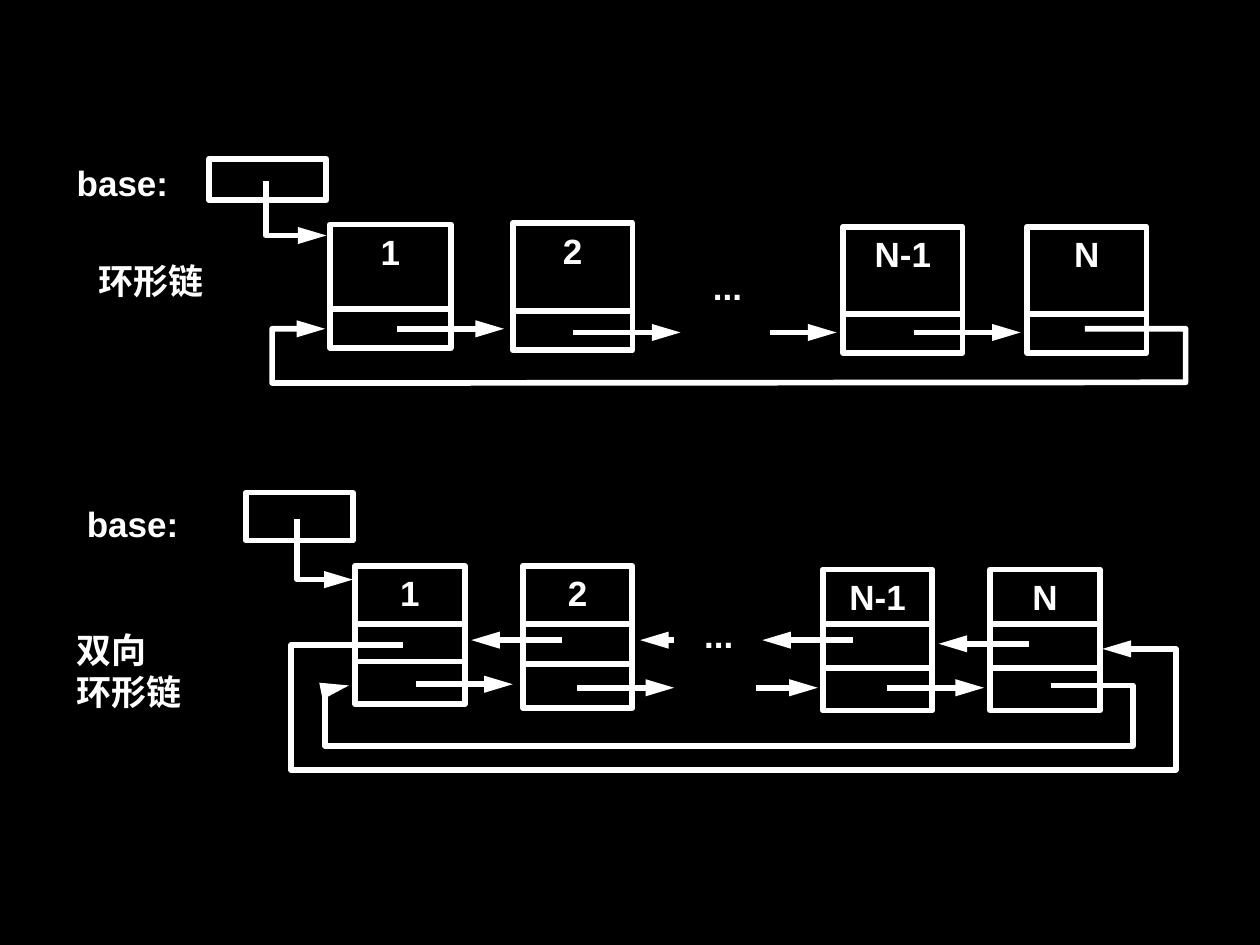
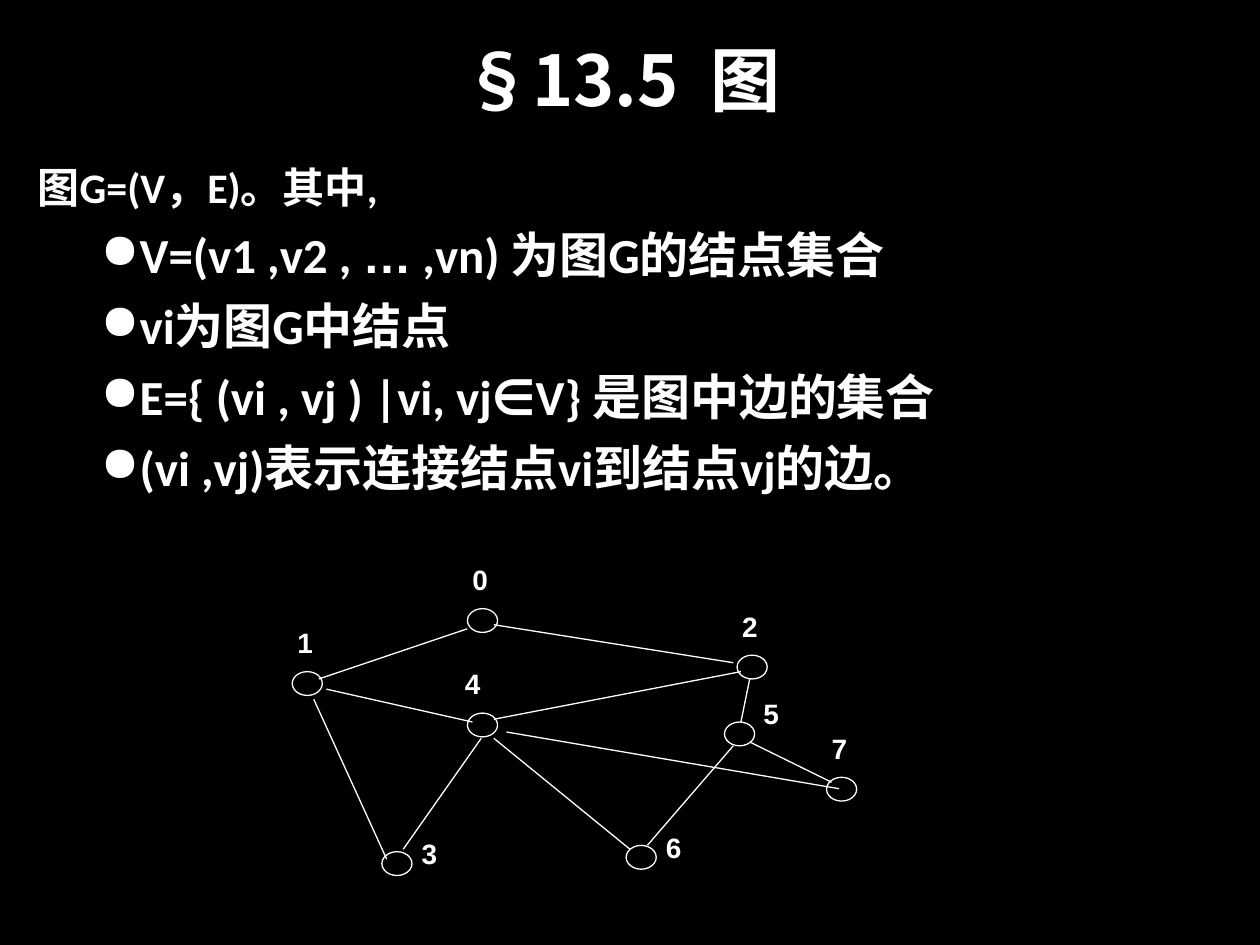
from lxml import etree
from pptx import Presentation
from pptx.dml.color import RGBColor
from pptx.enum import shapes, text
from pptx.oxml import ns
from pptx.util import Pt

# ---- Shared look ----
BLACK = RGBColor(0x00, 0x00, 0x00)
WHITE = RGBColor(0xFF, 0xFF, 0xFF)
LATIN, BODY, HEADING = "Arial", "Calibri", "Noto Sans CJK SC"
THICK, THIN = 3.25, 0.75
LABEL_INSET = (7.2, 3.6)

# ---- Linked lists: all lengths in points ----
NODE_NAMES = ["1", "2", "N-1", "N"]
CIRCULAR = {
    "labels": [("base:", 36.7, 88.6, 93, 25), ("...", 400.3, 148.3, 42, 31),
               ("环形链", 49, 144.7, 76.3, 29.5)],
    "base": (119.5, 90.7, 67, 23.8),
    "nodes": [(188.6, 128.2, 69, 70.6), (293, 127.4, 68.4, 72.7),
              (481.7, 129.6, 68.4, 72), (586.8, 129.6, 68.4, 72)],
    "dividers": [[176.4], [177.8], [179.3], [179.3]],
    "arrows": [(226.8, 288, 187.9), (327.6, 388.8, 190),
               (439.9, 478, 190), (522, 583.2, 190)],
    "paths": [
        [(151.9, 103.7), (151.9, 134.6), (186.5, 134.6)],
        [(619.9, 187.9), (677.5, 187.9), (677.5, 218.5),
         (155.5, 218.9), (155.5, 187.9), (185.8, 187.9)],
    ],
}
DOUBLY_LINKED = {
    "labels": [("base:", 42.5, 283.7, 98, 29.5), ("...", 395.3, 347, 38, 34.6),
               ("双向\n环形链", 36.7, 355.7, 111, 41)],
    "base": (140.4, 281.5, 61.2, 27.4),
    "nodes": [(203, 323.3, 62.6, 79.2), (298.8, 323.3, 62.6, 81.4),
              (470.2, 325.4, 62.6, 80.6), (565.9, 325.4, 62.6, 80.6)],
    "dividers": [[356.4, 378], [356.4, 379.4], [356.4, 381.6], [356.4, 381.6]],
    "arrows": [(237.6, 293, 391), (329.8, 385.2, 393), (432, 467.3, 393),
               (506.9, 562.3, 393), (588.2, 536.4, 367.9), (487.4, 435.6, 365.8),
               (385.2, 365.8, 365.8), (321, 269.3, 365.8)],
    "paths": [
        [(169.9, 296.6), (169.9, 331.2), (201.6, 331.2)],
        [(600.5, 391.7), (647.3, 391.7), (647.3, 426.2),
         (185.8, 426.2), (185.8, 391.7), (199.4, 391.7)],
        [(230.4, 368.6), (166.3, 368.6), (166.3, 439.9),
         (671.8, 439.9), (671.8, 370.8), (630, 370.8)],
    ],
}

# ---- Graph definition ----
TITLE = [("§13.5  ", HEADING), ("图", BODY)]
DEFINITION = [("图G=(V，E)。其中,", BODY)]
BULLETS = [
    [("V=(v1 ,v2 , ", BODY), ("…", LATIN), (" ,vn) 为图G的结点集合", BODY)],
    [("vi为图G中结点", BODY)],
    [("E={ (vi , vj ) |vi, vj∈V} 是图中边的集合", BODY)],
    [("(vi ,vj)表示连接结点vi到结点vj的边。", BODY)],
]
ABOVE, BESIDE = (2.2, -26.8), (22, -9.3)
VERTEX_SIZE = (17.2, 13.6)
VERTICES = {  # name: (left, top, label offset)
    "0": (267.1, 347.8, ABOVE), "1": (167, 383.8, ABOVE),
    "2": (421.2, 374.4, ABOVE), "3": (218.2, 486.7, BESIDE),
    "4": (267.1, 407.5, (-2.2, -27.3)), "5": (414, 412.6, (21.6, -15.2)),
    "6": (357.8, 483.1, BESIDE), "7": (472.3, 444.2, ABOVE),
}
EDGES = [
    (267.1, 359.3, 182.2, 388), (282.2, 357, 419, 378.7),
    (186.5, 393.8, 270, 412.6), (179.3, 399.6, 221, 491),
    (230.4, 485.3, 275, 421.9), (282.2, 411, 423.4, 383.8),
    (289.4, 418.3, 479.5, 450.7), (282.2, 421.9, 360, 485.3),
    (419, 426.2, 370, 483), (428.4, 388, 423.4, 412.6),
    (428.4, 424, 475.2, 447),
]


# ---- Helpers ----
def points(*lengths):
    return [Pt(length) for length in lengths]


def format_run(run, size, font):
    run.font.size, run.font.bold, run.font.name = Pt(size), True, font
    run.font.color.rgb = WHITE
    latin = run.font._element.find(ns.qn("a:latin"))
    east_asian = etree.Element(ns.qn("a:ea"), typeface=font)
    latin.addnext(east_asian)


def write_runs(paragraph, runs, size):
    for words, font in runs:
        run = paragraph.add_run()
        run.text = words
        format_run(run, size, font)


def set_insets(frame, across, down):
    frame.margin_left = frame.margin_right = Pt(across)
    frame.margin_top = frame.margin_bottom = Pt(down)


def add_label(slide, words, left, top, width, height, size=20, inset=LABEL_INSET):
    frame = slide.shapes.add_textbox(*points(left, top, width, height)).text_frame
    set_insets(frame, *inset)
    frame.text = words
    for paragraph in frame.paragraphs:
        for run in paragraph.runs:
            format_run(run, size, LATIN)


def outline(shape, weight):
    shape.shadow.inherit = False
    shape.fill.background()
    shape.line.color.rgb = WHITE
    shape.line.width = Pt(weight)


def add_outlined(slide, kind, box, weight):
    shape = slide.shapes.add_shape(kind, *points(*box))
    outline(shape, weight)
    return shape


def add_arrowhead(line):
    properties = line._get_or_add_ln()
    etree.SubElement(properties, ns.qn("a:round"))
    etree.SubElement(properties, ns.qn("a:tailEnd"), type="triangle", w="med", len="lg")


def add_line(slide, x1, y1, x2, y2, weight, arrow=False):
    connector = slide.shapes.add_connector(
        shapes.MSO_CONNECTOR.STRAIGHT, *points(x1, y1, x2, y2))
    connector.line.color.rgb = WHITE
    connector.line.width = Pt(weight)
    if arrow:
        add_arrowhead(connector.line)
    etree.SubElement(connector._element.spPr, ns.qn("a:effectLst"))


def add_pointer_path(slide, corners):
    start, *rest = [points(*corner) for corner in corners]
    builder = slide.shapes.build_freeform(*start)
    builder.add_line_segments(rest, close=False)
    pointer = builder.convert_to_shape()
    outline(pointer, THICK)
    add_arrowhead(pointer.line)


def draw_linked_list(slide, chain):
    rectangle = shapes.MSO_SHAPE.RECTANGLE
    add_outlined(slide, rectangle, chain["base"], THICK)
    for name, box, dividers in zip(NODE_NAMES, chain["nodes"], chain["dividers"]):
        frame = add_outlined(slide, rectangle, box, THICK).text_frame
        frame.vertical_anchor = text.MSO_ANCHOR.TOP
        set_insets(frame, *LABEL_INSET)
        frame.text = name
        frame.paragraphs[0].alignment = text.PP_ALIGN.CENTER
        format_run(frame.paragraphs[0].runs[0], 20, LATIN)
        left, _, width, _ = box
        for y in dividers:
            add_line(slide, left + 1.7, y, left + width, y, THICK)
    for label in chain["labels"]:
        add_label(slide, *label)
    for start, end, y in chain["arrows"]:
        add_line(slide, start, y, end, y, THICK, arrow=True)
    for corners in chain["paths"]:
        add_pointer_path(slide, corners)


def indent(paragraph, left, hanging):
    properties = paragraph._p.get_or_add_pPr()
    properties.set("marL", str(Pt(left)))
    properties.set("indent", str(-Pt(hanging)))
    return properties


def add_bullet(paragraph):
    properties = indent(paragraph, 58.3, 22.3)
    colour = etree.SubElement(properties, ns.qn("a:buClr"))
    etree.SubElement(colour, ns.qn("a:srgbClr"), val=str(WHITE))
    etree.SubElement(properties, ns.qn("a:buChar"), char="●")


def write_definition(slide):
    frame = slide.shapes.add_textbox(*points(14.4, 88.6, 680.4, 238.3)).text_frame
    frame.word_wrap = True
    set_insets(frame, *LABEL_INSET)
    opening = frame.paragraphs[0]
    indent(opening, 27.4, 27.4)
    opening.line_spacing = Pt(29)
    write_runs(opening, DEFINITION, 24)
    for runs in BULLETS:
        paragraph = frame.add_paragraph()
        paragraph.level = 1
        add_bullet(paragraph)
        paragraph.space_before = Pt(7)
        paragraph.line_spacing = Pt(33.6)
        write_runs(paragraph, runs, 28)


def draw_graph(slide):
    for name, (left, top, (right, down)) in VERTICES.items():
        add_outlined(slide, shapes.MSO_SHAPE.OVAL, (left, top, *VERTEX_SIZE), THIN)
        add_label(slide, name, left + right, top + down, 44, 31, 16, (0.7, 0.7))
    for edge in EDGES:
        add_line(slide, *edge, THIN)


def main():
    deck = Presentation()
    deck.slide_width, deck.slide_height = points(720, 540)
    background = deck.slide_master.background.fill
    background.solid()
    background.fore_color.rgb = BLACK

    # Circular and doubly linked circular lists
    lists_slide = deck.slides.add_slide(deck.slide_layouts[6])
    for chain in (CIRCULAR, DOUBLY_LINKED):
        draw_linked_list(lists_slide, chain)

    # Graphs
    graph_slide = deck.slides.add_slide(deck.slide_layouts[5])
    title = graph_slide.shapes.title
    title.left, title.top, title.width, title.height = points(31, 0, 648, 90)
    title.text_frame.vertical_anchor = text.MSO_ANCHOR.MIDDLE
    heading = title.text_frame.paragraphs[0]
    heading.alignment = text.PP_ALIGN.CENTER
    write_runs(heading, TITLE, 40)
    write_definition(graph_slide)
    draw_graph(graph_slide)

    deck.save("out.pptx")


if __name__ == "__main__":
    main()
